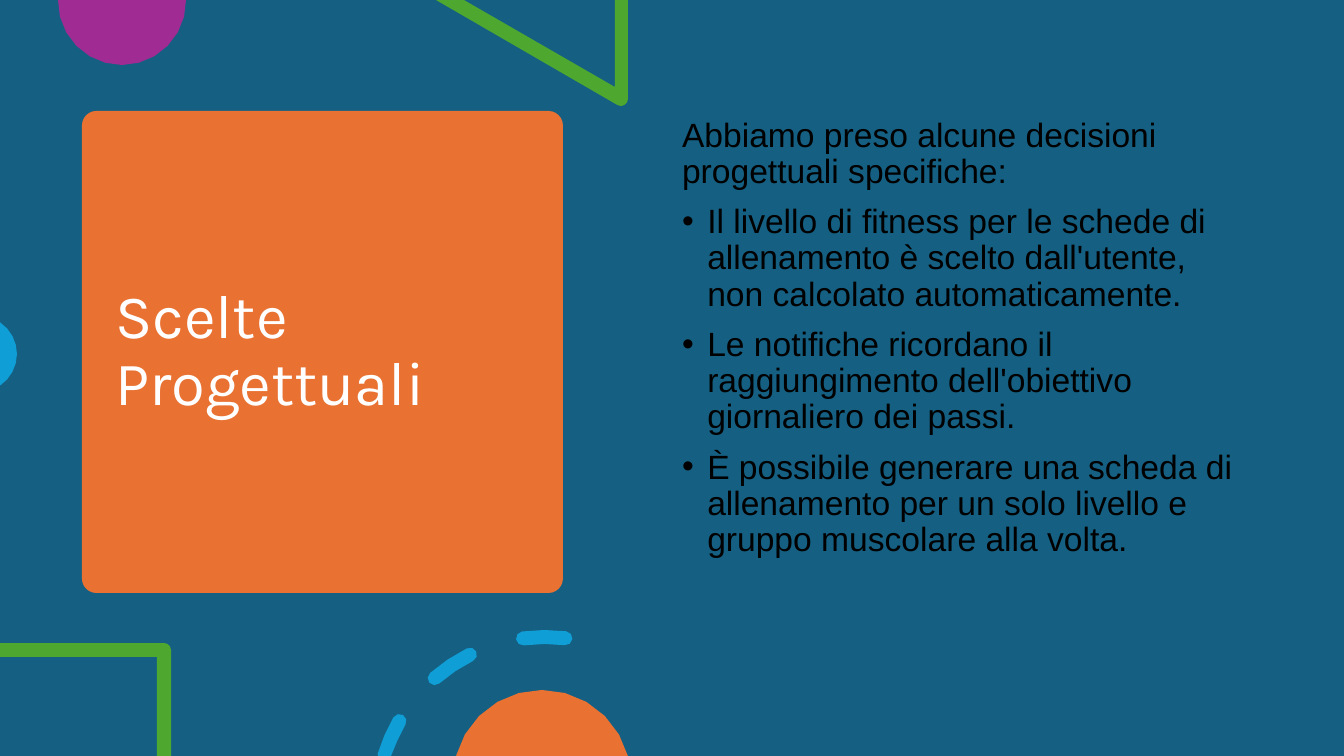
from math import cos, radians, sin

from lxml import etree
from pptx import Presentation
from pptx.dml.color import RGBColor
from pptx.enum.shapes import MSO_SHAPE
from pptx.enum.text import MSO_ANCHOR, MSO_AUTO_SIZE, PP_ALIGN
from pptx.oxml.ns import qn
from pptx.util import Pt

PX = 9071.43
WIDTH, HEIGHT = 1344, 756
RECTANGLE = MSO_SHAPE.RECTANGLE
ROUNDED = MSO_SHAPE.ROUNDED_RECTANGLE
MIDDLE, TOP = MSO_ANCHOR.MIDDLE, MSO_ANCHOR.TOP
NO_FIT = MSO_AUTO_SIZE.NONE
LEFT = PP_ALIGN.LEFT
COLOURS = {
    "backdrop": "156082",
    "orange": "E97132",
    "purple": "A02B93",
    "green": "4EA72E",
    "blue": "0F9ED5",
    "white": "FFFFFF",
    "black": "000000",
}
INTRO = "Abbiamo preso alcune decisioni progettuali specifiche:"
DECISIONS = [
    "Il livello di fitness per le schede di allenamento è scelto dall'utente, "
    "non calcolato automaticamente.",
    "Le notifiche ricordano il raggiungimento dell'obiettivo giornaliero dei passi.",
    "È possibile generare una scheda di allenamento per un solo livello e "
    "gruppo muscolare alla volta.",
]


def emu(px):
    return round(px * PX)


def rgb(name):
    return RGBColor.from_string(COLOURS[name])


def paint(shape, colour):
    shape.shadow.inherit = False
    shape.fill.solid()
    shape.fill.fore_color.rgb = rgb(colour)
    shape.line.fill.background()


def add_panel(slide, preset, left, top, width, height, colour):
    panel = slide.shapes.add_shape(preset, *map(emu, (left, top, width, height)))
    paint(panel, colour)
    return panel


def arc(cx, cy, radius, start, end, steps):
    angles = [radians(start + (end - start) * i / steps) for i in range(steps + 1)]
    return [(cx + radius * cos(a), cy + radius * sin(a)) for a in angles]


def add_outline(slide, colour, *contours):
    builder = slide.shapes.build_freeform(*map(emu, contours[0][0]))
    for index, contour in enumerate(contours):
        corners = [(emu(x), emu(min(y, HEIGHT))) for x, y in contour]
        if index:
            builder.move_to(*corners[0])
        builder.add_line_segments(corners[1:], close=True)
    paint(builder.convert_to_shape(), colour)


def dash_points(cx, cy, radius, half, start, end):
    def cap(angle, turn):
        x, y = arc(cx, cy, radius, angle, angle, 1)[0]
        return arc(x, y, half, turn, turn + 180, 4)[1:-1]

    return (arc(cx, cy, radius + half, start, end, 2) + cap(end, end)
            + arc(cx, cy, radius - half, end, start, 2) + cap(start, start + 180))


def place(placeholder, left, top, width, height, anchor):
    placeholder.left, placeholder.top = emu(left), emu(top)
    placeholder.width, placeholder.height = emu(width), emu(height)
    frame = placeholder.text_frame
    frame.word_wrap = True
    frame.auto_size = NO_FIT
    frame.vertical_anchor = anchor
    return frame


def write(paragraph, text, font, size, colour, before=0, bullet=False):
    run = paragraph.add_run()
    run.text = text
    run.font.name = font
    run.font.size = Pt(size)
    run.font.color.rgb = rgb(colour)
    paragraph.alignment = LEFT
    paragraph.line_spacing = 0.9
    paragraph.space_before = Pt(before)
    properties = paragraph._p.get_or_add_pPr()
    indent = emu(25.2) if bullet else 0
    properties.set("marL", str(indent))
    properties.set("indent", str(-indent))
    if bullet:
        etree.SubElement(properties, qn("a:buFont"), typeface="Arial")
        etree.SubElement(properties, qn("a:buChar"), char="•")
    else:
        etree.SubElement(properties, qn("a:buNone"))


def add_top_decorations(slide):
    add_outline(slide, "purple", arc(122, 1, 64, -1, 181, 12))
    triangle = [(628, 0), (615, 0), (615, 87), (464, 0), (436, 0)]
    add_outline(slide, "green", triangle + arc(621, 99, 7, 120, 0, 4))
    add_outline(slide, "blue", arc(-21, 354, 38, -56, 56, 8))


def add_bottom_decorations(slide):
    square = [(0, 643), (0, 657), (157, 657), (157, 756), (171, 756)]
    add_outline(slide, "green", square + arc(164, 650, 7, 0, -90, 3))
    spans = ((197, 210), (229, 243.5), (262.5, 277))
    dashes = [dash_points(545, 805, 168, 7, start, end) for start, end in spans]
    add_outline(slide, "blue", *dashes)
    add_outline(slide, "orange", arc(542, 779, 89, 195, 345, 10))


def main():
    deck = Presentation()
    deck.slide_width, deck.slide_height = emu(WIDTH), emu(HEIGHT)
    slide = deck.slides.add_slide(deck.slide_layouts[1])
    title, body = slide.shapes.title, slide.placeholders[1]
    layers = slide.shapes.element

    add_panel(slide, RECTANGLE, 0, 0, WIDTH, HEIGHT, "backdrop")
    card = add_panel(slide, ROUNDED, 82, 111, 481, 482, "orange")
    card.adjustments[0] = 0.03
    layers.append(title.element)
    add_top_decorations(slide)
    layers.append(body.element)
    add_bottom_decorations(slide)

    heading = place(title, 105, 122, 434, 460, MIDDLE)
    write(heading.paragraphs[0], "Scelte Progettuali", "Karla", 44, "white")

    choices = place(body, 672, 113, 580, 482, TOP)
    write(choices.paragraphs[0], INTRO, "Arial", 24, "black", before=10)
    for decision in DECISIONS:
        write(choices.add_paragraph(), decision, "Arial", 24, "black",
              before=10, bullet=True)

    deck.save("out.pptx")


if __name__ == "__main__":
    main()
